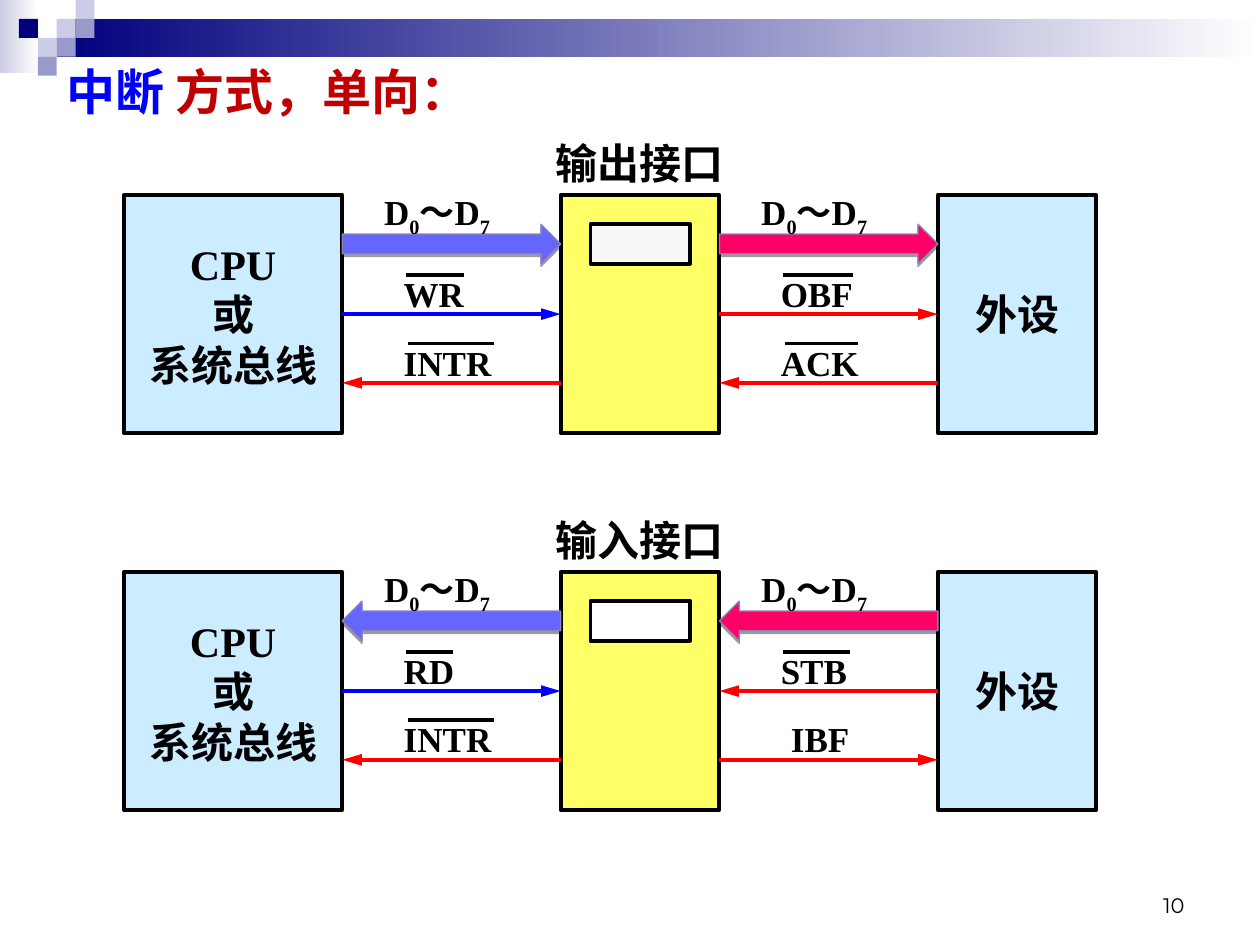
from lxml.etree import SubElement
from pptx import Presentation
from pptx.dml.color import RGBColor
from pptx.enum.shapes import MSO_CONNECTOR, MSO_SHAPE
from pptx.enum.text import MSO_ANCHOR, PP_ALIGN
from pptx.oxml.ns import qn
from pptx.util import Pt

HUES = {
    "black": "000000", "white": "FFFFFF", "blue": "0000FF", "red": "FF0000",
    "brick": "C00000", "sky": "CCECFF", "yellow": "FFFF66", "pale": "F8F8F8",
    "violet": "6666FF", "pink": "FF0066", "edge": "8686B6",
    "navy": "00007D", "mist": "CCCCE6", "lilac": "9999CC",
}
SERIF = "Times New Roman"
CELL = 10.8
ROWS = (68, 107.3)


def hue(name):
    return RGBColor.from_string(HUES[name])


def style(run, size, color="black", face=SERIF, bold=True):
    font = run.font
    font.size, font.name, font.bold = Pt(size), face, bold
    font.color.rgb = hue(color)


def block(slide, kind, box, fill, edge=None, width=2.25):
    shape = slide.shapes.add_shape(kind, *map(Pt, box))
    if isinstance(fill, tuple):
        shape.fill.gradient()
        shape.fill.gradient_angle = 0
        for stop, name in zip(shape.fill.gradient_stops, fill):
            stop.color.rgb = hue(name)
    else:
        shape.fill.solid()
        shape.fill.fore_color.rgb = hue(fill)
    if edge:
        shape.line.color.rgb = hue(edge)
        shape.line.width = Pt(width)
    else:
        shape.line.fill.background()
    shape.shadow.inherit = False
    return shape


def wire(slide, start, end, color, head=False):
    line = slide.shapes.add_connector(MSO_CONNECTOR.STRAIGHT, *map(Pt, start + end))
    line.line.color.rgb = hue(color)
    line.line.width = Pt(2.25)
    if head:
        SubElement(line.line._get_or_add_ln(), qn("a:tailEnd"), type="triangle", w="med", len="lg")
    SubElement(line._element.spPr, qn("a:effectLst"))
    return line


def label(slide, box, text, size, align=PP_ALIGN.LEFT, anchor=MSO_ANCHOR.TOP, **look):
    frame = slide.shapes.add_textbox(*map(Pt, box)).text_frame
    frame.word_wrap = True
    frame.vertical_anchor = anchor
    frame.text = text
    para = frame.paragraphs[0]
    para.alignment = align
    style(para.runs[0], size, **look)
    return para


def banner(slide):
    block(slide, MSO_SHAPE.RECTANGLE, (0, 0, 22, 41.8), ("mist", "white"))
    block(slide, MSO_SHAPE.RECTANGLE, (32.4, CELL, 687.6, 2 * CELL), ("navy", "white"))
    tiles = [(3, 1, "mist"), (4, 0, "mist"), (4, 1, "lilac"), (2, 2, "mist"),
             (1, 1, "navy"), (3, 2, "lilac"), (2, 3, "lilac")]
    for col, row, color in tiles:
        block(slide, MSO_SHAPE.RECTANGLE, (col * CELL, row * CELL, CELL, CELL), color)


def heading(slide, box):
    para = label(slide, box, "中断", 28, color="blue")
    run = para.add_run()
    run.text = " 方式，单向："
    style(run, 28, "brick")


def unit(slide, box, text, fill):
    shape = block(slide, MSO_SHAPE.RECTANGLE, box, fill, "black")
    frame = shape.text_frame
    frame.vertical_anchor = MSO_ANCHOR.MIDDLE
    frame.text = text
    for para in frame.paragraphs:
        para.alignment = PP_ALIGN.CENTER
        for run in para.runs:
            style(run, 24)
    return shape


def data_bus(slide, box, color, right):
    left, top, width, _ = box
    kind = MSO_SHAPE.RIGHT_ARROW if right else MSO_SHAPE.LEFT_ARROW
    arrow = block(slide, kind, (left, top + 16.6, width, 22.6), color, "edge", 0.75)
    effects = arrow._element.spPr.find(qn("a:effectLst"))
    shade = SubElement(effects, qn("a:outerShdw"), blurRad="0", dist=str(Pt(1.6)),
                       dir="5400000", rotWithShape="0")
    tint = SubElement(shade, qn("a:srgbClr"), val=HUES["black"])
    SubElement(tint, qn("a:alpha"), val="38000")

    para = label(slide, (left + 16.8, top - 6, 96.5, 34.6), "D", 20)
    for text, low in (("0", True), ("～D", False), ("7", True)):
        run = para.add_run()
        run.text = text
        style(run, 20)
        if low:
            run.font._element.set("baseline", "-25000")


def signal(slide, box, ends, row, name, right, color, width, bar):
    left, top, span, _ = box
    level = top + ROWS[row]
    points = [(left, level), (left + span, level)]
    joints = [(ends[0], 3), (ends[1], 1)]
    if not right:
        points.reverse()
        joints.reverse()
    line = wire(slide, *points, color, head=True)
    if row == 0:
        line.begin_connect(*joints[0])
        line.end_connect(*joints[1])

    start, over = left + (28 if bar else 33.8), level - 27.5
    label(slide, (start, over, width, 31.5), name, 20)
    if bar:
        shift = 8.3 if row == 0 else 9.4
        wire(slide, (start + shift, over + 5), (start + shift + bar, over + 5), "black")


def panel(slide, box, title, slot, outward, near, far):
    left, top, width, height = box
    gap, thin = 124.8, 90.7
    mid, back = left + 2 * gap, left + width - thin
    cpu = unit(slide, (left, top, gap, height), "CPU\n或\n系统总线", "sky")
    port = unit(slide, (mid, top, thin, height), "", "yellow")
    device = unit(slide, (back, top, thin, height), "外设", "sky")
    label(slide, (mid - 23, top - 36.6, 136, 36), title, 24, PP_ALIGN.CENTER)
    block(slide, MSO_SHAPE.RECTANGLE, (mid + 17, top + 16.6, 57, 22.6), slot, "black")
    sides = [(left + gap, (cpu, port), "violet", near),
             (mid + thin, (port, device), "pink", far)]
    for start, ends, color, signals in sides:
        lane = (start, top, gap, height)
        data_bus(slide, lane, color, outward)
        for row, item in enumerate(signals):
            signal(slide, lane, ends, row, *item)


def main():
    deck = Presentation()
    deck.slide_width, deck.slide_height = Pt(720), Pt(540)
    slide = deck.slides.add_slide(deck.slide_layouts[6])
    banner(slide)
    heading(slide, (31, 31.7, 357, 41))
    intr = ("INTR", False, "red", 82.8, 49.5)
    panel(slide, (70.8, 111.5, 555.8, 136), "输出接口", "pale", True,
          [("WR", True, "blue", 68.4, 33.5), intr],
          [("OBF", True, "red", 90.7, 39.8), ("ACK", False, "red", 90.7, 41.8)])
    panel(slide, (70.8, 326.9, 555.8, 136), "输入接口", "white", False,
          [("RD", True, "blue", 68.4, 27), intr],
          [("STB", False, "red", 90.7, 38.5), ("IBF", True, "red", 90.7, 0)])
    label(slide, (516, 492, 168, 36), "10", 12, PP_ALIGN.RIGHT, MSO_ANCHOR.BOTTOM,
          face="Montserrat", bold=False)
    deck.save("out.pptx")


if __name__ == "__main__":
    main()
